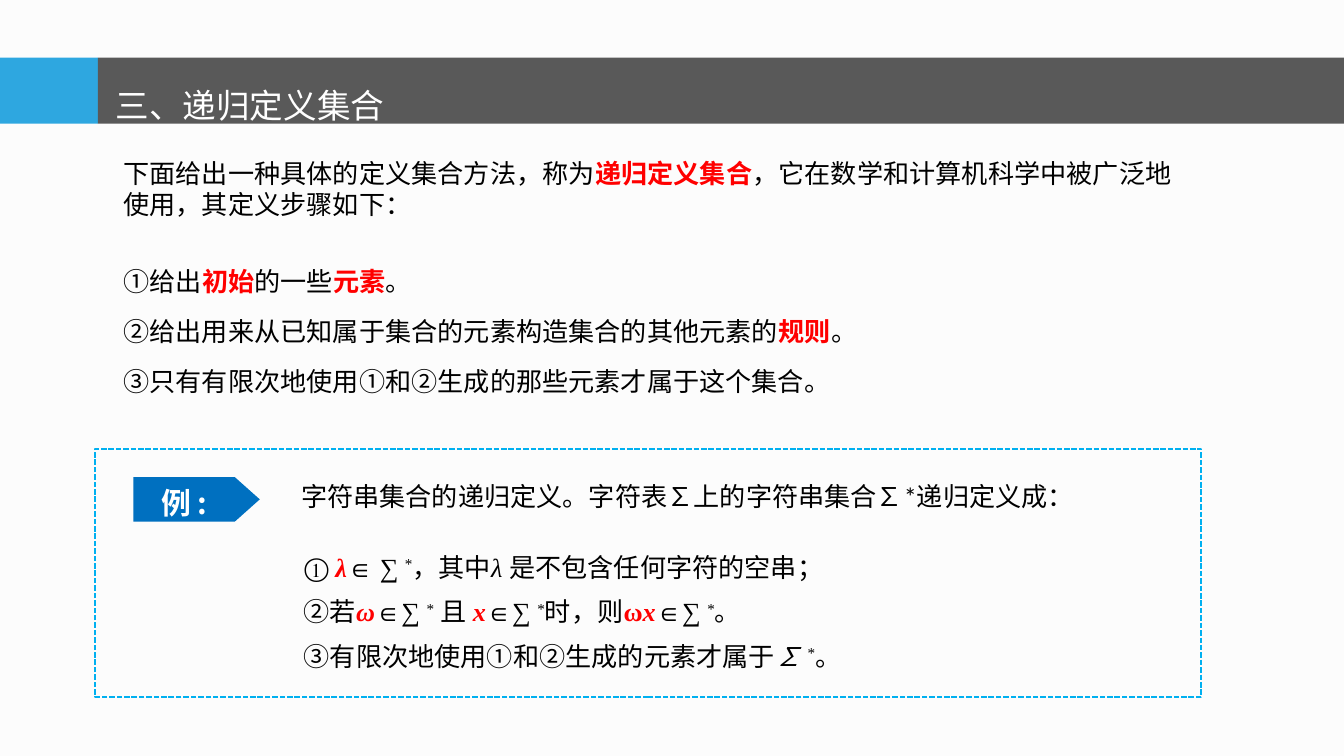
from dataclasses import dataclass

from lxml import etree
from pptx import Presentation
from pptx.dml.color import RGBColor
from pptx.enum.dml import MSO_LINE
from pptx.enum.shapes import MSO_SHAPE
from pptx.enum.text import MSO_ANCHOR, MSO_AUTO_SIZE, PP_ALIGN
from pptx.oxml.ns import qn
from pptx.util import Cm, Pt

RECT, PENTAGON = MSO_SHAPE.RECTANGLE, MSO_SHAPE.PENTAGON
LEFT, CENTER, JUSTIFY = PP_ALIGN.LEFT, PP_ALIGN.CENTER, PP_ALIGN.JUSTIFY
TOP, MIDDLE = MSO_ANCHOR.TOP, MSO_ANCHOR.MIDDLE
NO_FIT, DASH = MSO_AUTO_SIZE.NONE, MSO_LINE.SQUARE_DOT

PAPER = RGBColor(0xFC, 0xFC, 0xFC)
WHITE = RGBColor(0xFF, 0xFF, 0xFF)
BLACK = RGBColor(0, 0, 0)
RED = RGBColor(0xFF, 0, 0)
SKY = RGBColor(0x2E, 0xA7, 0xE0)
GREY = RGBColor(0x59, 0x59, 0x59)
BLUE = RGBColor(0, 0x70, 0xC0)
CYAN = RGBColor(0, 0xB0, 0xF0)
CJK, SANS, SERIF = "Noto Sans CJK SC", "Calibri", "Times New Roman"


@dataclass(frozen=True)
class Run:
    text: str
    key: bool = False
    italic: bool = False
    sup: bool = False


@dataclass(frozen=True)
class Para:
    runs: tuple[Run, ...]
    before: float = 0


@dataclass(frozen=True)
class Box:
    left: float
    top: float
    width: float
    height: float

    def lengths(self) -> tuple[Cm, ...]:
        return Cm(self.left), Cm(self.top), Cm(self.width), Cm(self.height)


def para(*parts: str | Run, before: float = 0) -> Para:
    return Para(tuple(Run(t) if isinstance(t, str) else t for t in parts), before)


def key(text: str, italic: bool = False) -> Run:
    return Run(text, key=True, italic=italic)


def write(sp, paras: list[Para], *, size: float, line: float, font: str = CJK,
          color: RGBColor = BLACK, bold: bool = False, align=LEFT,
          anchor=TOP, hanging: float = 0) -> None:
    tf = sp.text_frame
    tf.word_wrap, tf.auto_size, tf.vertical_anchor = True, NO_FIT, anchor
    for i, item in enumerate(paras):
        p = tf.paragraphs[0] if i == 0 else tf.add_paragraph()
        p.alignment, p.line_spacing = align, Pt(line)
        p.space_before, p.space_after = Pt(item.before), Pt(0)
        props = p._p.get_or_add_pPr()
        props.set("marL", str(Cm(hanging)))
        props.set("indent", str(-Cm(hanging)))
        etree.SubElement(props, qn("a:buNone"))
        for run in item.runs:
            r = p.add_run()
            r.text = run.text
            r.font.name, r.font.size = font, Pt(size)
            r.font.bold, r.font.italic = bold or run.key, run.italic
            r.font.color.rgb = RED if run.key else color
            rpr = r.font._element
            etree.SubElement(rpr, qn("a:ea")).set("typeface", CJK)
            if run.sup:
                rpr.set("baseline", "30000")


def place(sp, box: Box):
    sp.left, sp.top, sp.width, sp.height = box.lengths()
    return sp


def add_shape(s, kind, box: Box, fill: RGBColor | None = None):
    sp = s.shapes.add_shape(kind, *box.lengths())
    sp.shadow.inherit = False
    if fill is None:
        sp.fill.background()
    else:
        sp.fill.solid()
        sp.fill.fore_color.rgb = fill
        sp.line.fill.background()
    return sp


SIGMA = Run("∑ ", italic=True)
STAR = Run("*", sup=True)

STEPS = [
    para("下面给出一种具体的定义集合方法，称为", key("递归定义集合"),
         "，它在数学和计算机科学中被广泛地使用，其定义步骤如下："),
    para("①给出", key("初始"), "的一些", key("元素"), "。", before=24.6),
    para("②给出用来从已知属于集合的元素构造集合的其他元素的", key("规则"), "。", before=10.2),
    para("③只有有限次地使用①和②生成的那些元素才属于这个集合。", before=10.2),
]
RULES = [
    para(" ① ", key("λ", True), "∈ ", SIGMA, STAR, "，其中",
         Run("λ ", italic=True), "是不包含任何字符的空串；"),
    para(" ②若", key("ω", True), "∈", SIGMA, STAR, " 且 ", key("x", True), "∈", SIGMA, STAR,
         "时，则", key("ω"), key("x", True), "∈", SIGMA, STAR, "。"),
    para(" ③有限次地使用①和②生成的元素才属于", SIGMA, STAR, "。"),
]

prs = Presentation()
prs.slide_width, prs.slide_height = Cm(25.4), Cm(14.29)
s = prs.slides.add_slide(prs.slide_layouts[1])
s.background.fill.solid()
s.background.fill.fore_color.rgb = PAPER

for i, (box, fill) in enumerate([(Box(0, 1.09, 1.85, 1.25), SKY),
                                 (Box(1.85, 1.09, 23.55, 1.25), GREY)]):
    bar = add_shape(s, RECT, box, fill)
    s.shapes._spTree.insert(2 + i, bar._element)

title = place(s.shapes.title, Box(1.93, 0.89, 17.75, 1.4))
write(title, [para("三、递归定义集合")], size=18, line=38, color=WHITE)

body = place(s.placeholders[1], Box(2.08, 2.86, 20.6, 4.8))
write(body, STEPS, size=14, line=16.6)

tag = add_shape(s, PENTAGON, Box(2.52, 9.02, 2.39, 0.84), BLUE)
tag.adjustments[0] = 0.56
tag.text_frame.margin_right = Cm(0.48)
write(tag, [para("例 :")], size=16, line=23, color=WHITE, bold=True,
      align=CENTER, anchor=MIDDLE)

frame = add_shape(s, RECT, Box(1.8, 8.48, 20.9, 4.7))
frame.line.color.rgb, frame.line.width, frame.line.dash_style = CYAN, Pt(1), DASH

intro = s.shapes.add_textbox(*Box(5.44, 8.99, 15.65, 0.79).lengths())
write(intro, [para("字符串集合的递归定义。字符表∑上的字符串集合∑*递归定义成：")],
      size=14, line=16, font=SANS)

rules = s.shapes.add_textbox(*Box(5.38, 10.06, 15.52, 2.74).lengths())
write(rules, RULES, size=14, line=23.7, font=SERIF, align=JUSTIFY, hanging=0.95)

prs.save("out.pptx")
